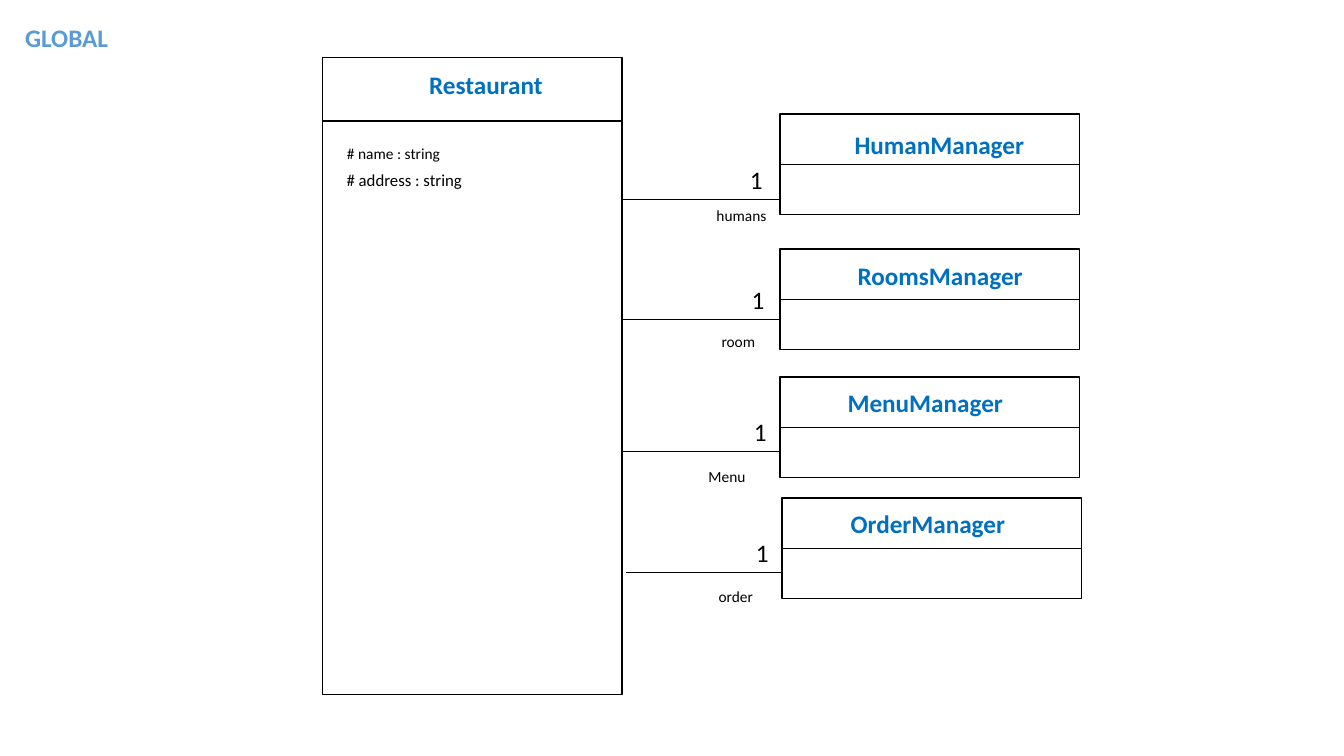
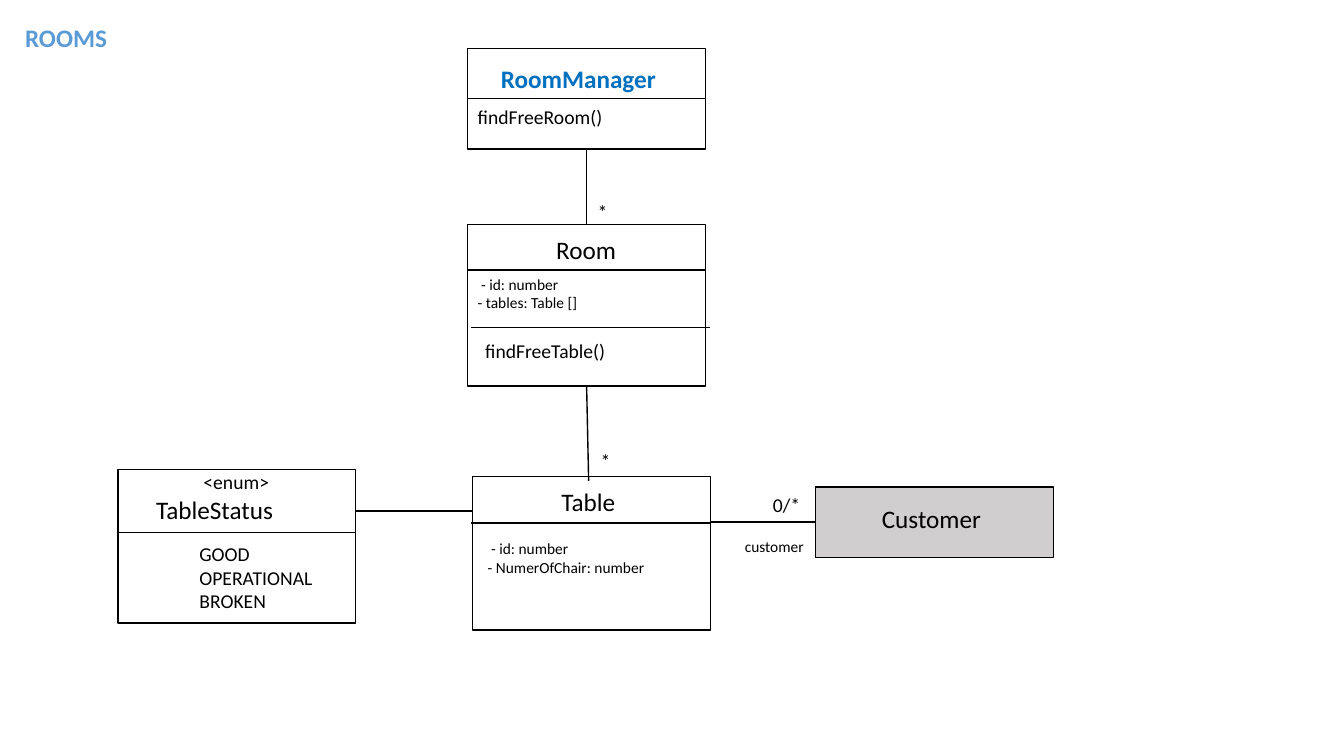
from pptx import Presentation
from pptx.dml.color import RGBColor
from pptx.enum.shapes import MSO_CONNECTOR, MSO_SHAPE
from pptx.enum.text import MSO_AUTO_SIZE
from pptx.oxml.ns import qn
from pptx.util import Pt
from lxml import etree

RECT = MSO_SHAPE.RECTANGLE
STRAIGHT = MSO_CONNECTOR.STRAIGHT
GROW = MSO_AUTO_SIZE.SHAPE_TO_FIT_TEXT
PX = 9144
FONT = "Calibri"
HEX = {"ink": "000000", "paper": "FFFFFF", "grey": "D0CECE",
       "title": "5B9BD5", "class": "0070C0"}
COLOR = {name: RGBColor.from_string(code) for name, code in HEX.items()}
TOP, LEFT, BOTTOM = 0, 1, 2


def write(slide, x, y, w, h, text, size, color="ink", wrap=False):
    box = slide.shapes.add_textbox(x * PX, y * PX, w * PX, h * PX)
    frame = box.text_frame
    frame.text = text
    frame.word_wrap = wrap
    frame.auto_size = GROW
    for para in frame.paragraphs:
        for run in para.runs:
            run.font.name = FONT
            run.font.size = Pt(size)
            run.font.bold = color != "ink"
            run.font.color.rgb = COLOR[color]


def link(slide, x1, y1, x2, y2):
    line = slide.shapes.add_connector(STRAIGHT, x1 * PX, y1 * PX, x2 * PX, y2 * PX)
    line.line.color.rgb = COLOR["ink"]
    line.line.width = Pt(1)
    etree.SubElement(line._element.spPr, qn("a:effectLst"))
    return line


deck = Presentation()
deck.slide_width = 12192000
deck.slide_height = 750 * PX
blank = deck.slide_layouts[6]

pages = [
    ("GLOBAL", 103, {
        "Restaurant": (320, 57, 297, 632, "paper"),
        "HumanManager": (774, 113, 297, 100, "paper"),
        "RoomsManager": (774, 247, 297, 100, "paper"),
        "MenuManager": (774, 374, 297, 100, "paper"),
        "OrderManager": (776, 494, 297, 100, "paper"),
    }),
    ("ROOMS", 102, {
        "Room": (464, 223, 236, 160, "paper"),
        "RoomManager": (464, 48, 236, 100, "paper"),
        "Customer": (809, 483, 236, 70, "grey"),
        "Table": (469, 473, 236, 152, "paper"),
        "TableStatus": (117, 466, 236, 152, "paper"),
    }),
]

slides = []
shapes = {}
for title, width, boxes in pages:
    slide = deck.slides.add_slide(blank)
    slides.append(slide)
    write(slide, 15, 17, width, 40, title, 18, "title")
    for name, (x, y, w, h, fill) in boxes.items():
        box = slide.shapes.add_shape(RECT, x * PX, y * PX, w * PX, h * PX)
        box.shadow.inherit = False
        box.fill.solid()
        box.fill.fore_color.rgb = COLOR[fill]
        box.line.color.rgb = COLOR["ink"]
        box.line.width = Pt(1)
        shapes[name] = box

world, rooms = slides

link(world, 320, 120, 617, 120)
write(world, 416, 64, 134, 40, "Restaurant", 18, "class")
write(world, 331, 138, 117, 29, " # name : string", 11)
write(world, 334, 163, 136, 30, "# address : string", 12)

managers = [
    ("HumanManager", 838, 123, 190, 618, 198, 734, "humans", 701, 200, 70),
    ("RoomsManager", 841, 253, 185, 618, 317, 736, "room", 706, 325, 54),
    ("MenuManager", 831, 379, 176, 618, 448, 738, "Menu", 693, 458, 57),
    ("OrderManager", 834, 499, 175, 621, 568, 740, "order", 703, 578, 55),
]
for name, nx, ny, nw, start, ly, cx, role, rx, ry, rw in managers:
    x, y, w, h, fill = pages[0][2][name]
    link(world, x, y + h // 2, x + w, y + h // 2)
    write(world, nx, ny, nw, 40, name, 18, "class")
    link(world, start, ly, x, ly)
    write(world, cx, ly - 40, 33, 41, "1", 18)
    write(world, rx, ry, rw, 29, role, 11)

for x, y, w in [(464, 98, 236), (464, 268, 236), (467, 325, 237),
                (467, 519, 237), (117, 528, 236), (353, 507, 116)]:
    link(rooms, x, y, x + w, y)

owns = link(rooms, 582, 223, 582, 148)
owns.begin_connect(shapes["Room"], TOP)
owns.end_connect(shapes["RoomManager"], BOTTOM)
holds = link(rooms, 584, 477, 582, 383)
holds.end_connect(shapes["Room"], BOTTOM)
seats = link(rooms, 705, 518, 809, 518)
seats.end_connect(shapes["Customer"], LEFT)

labels = [
    (487, 58, 175, 40, "RoomManager", 18, "class"),
    (464, 99, 172, 34, "findFreeRoom()", 14, "ink", True),
    (583, 193, 30, 34, "*", 14),
    (542, 228, 80, 40, "Room", 18),
    (464, 268, 172, 47, " - id: number\n- tables: Table []", 11, "ink", True),
    (467, 331, 172, 34, " findFreeTable()", 14, "ink", True),
    (586, 440, 30, 34, "*", 14),
    (547, 478, 74, 40, "Table", 18),
    (474, 530, 177, 47, " - id: number\n- NumerOfChair: number", 11),
    (757, 484, 48, 34, "0/*", 14),
    (729, 528, 79, 29, "customer", 11),
    (865, 494, 120, 40, "Customer", 18),
    (192, 461, 86, 34, "<enum>", 14),
    (145, 486, 137, 40, "TableStatus", 18),
    (188, 533, 133, 81, "GOOD\nOPERATIONAL\nBROKEN", 14),
]
for label in labels:
    write(rooms, *label)

deck.save("out.pptx")
